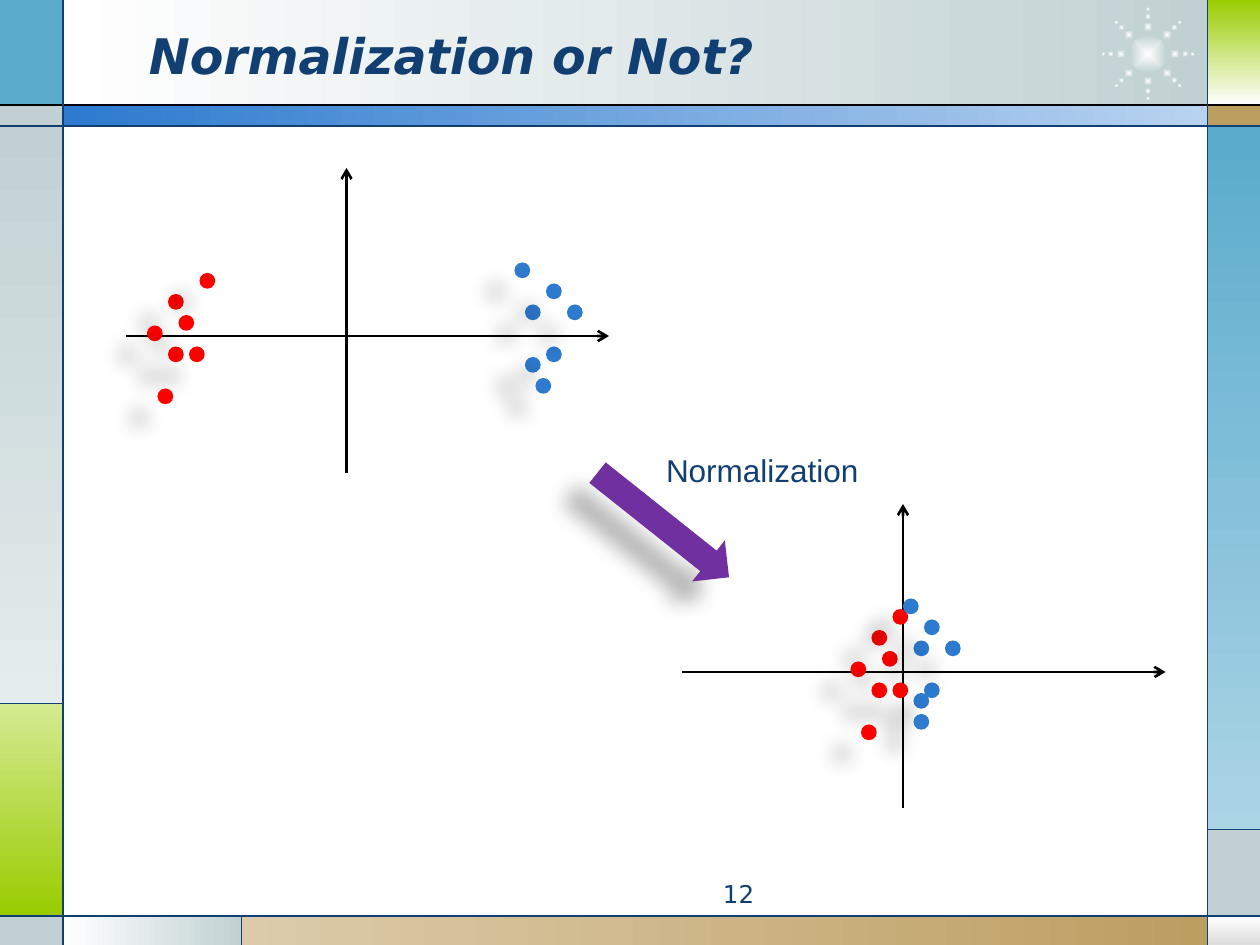
from itertools import product
from math import cos, radians, sin

from lxml.etree import SubElement
from pptx import Presentation
from pptx.dml.color import RGBColor
from pptx.enum.shapes import MSO_CONNECTOR as CONNECTOR, MSO_SHAPE as SHAPE
from pptx.enum.text import MSO_ANCHOR as ANCHOR, PP_ALIGN as ALIGN
from pptx.oxml.ns import qn
from pptx.util import Pt

NAVY, BLUE, RED, PURPLE = "113F71", "2D7ACF", "FF0000", "7030A0"
BLACK, WHITE, GRAY, SKY, TAN, GREEN = "000000", "FFFFFF", "C1D1D3", "5AABCC", "BD9E61", "99CC00"
WIDTH, HEIGHT = 720, 540
LEFT, RIGHT = 36, 690
TOP, STRIP, BOTTOM = 60, 72, 523.5
ACROSS, DOWN = 0, 270
DOT = 9

PANELS = [
    (LEFT, 0, RIGHT, TOP, (WHITE, GRAY, ACROSS)),
    (0, 0, LEFT, TOP, SKY),
    (0, TOP, LEFT, STRIP, GRAY),
    (0, STRIP, LEFT, 402, (GRAY, "E4ECED", DOWN)),
    (0, 402, LEFT, BOTTOM, ("D4EA92", GREEN, DOWN)),
    (0, BOTTOM, LEFT, HEIGHT, GRAY),
    (LEFT, BOTTOM, 138, HEIGHT, (WHITE, GRAY, ACROSS)),
    (138, BOTTOM, RIGHT, HEIGHT, ("DCCBAA", TAN, ACROSS)),
    (RIGHT, BOTTOM, WIDTH, HEIGHT, (WHITE, "DDDDDD", DOWN)),
    (RIGHT, 474, WIDTH, BOTTOM, GRAY),
    (RIGHT, STRIP, WIDTH, 474, (SKY, "ABD4E5", DOWN)),
    (RIGHT, TOP, WIDTH, STRIP, TAN),
    (RIGHT, 0, WIDTH, TOP, (GREEN, WHITE, DOWN)),
    (LEFT, TOP, RIGHT, STRIP, (BLUE, "B8D3F0", ACROSS)),
]
RULES = [
    (0, STRIP, WIDTH, STRIP), (0, BOTTOM, WIDTH, BOTTOM),
    (LEFT, 0, LEFT, HEIGHT), (RIGHT, 0, RIGHT, HEIGHT),
    (LEFT, 402, 0, 402), (138, BOTTOM, 138, HEIGHT), (RIGHT, 474, WIDTH, 474),
]
RAW_BLUE = [(294, 150), (300, 174), (312, 162), (300, 204), (312, 198), (324, 174), (306, 216)]
RAW_RED = [(96, 198), (96, 168), (114, 156), (84, 186), (108, 198), (102, 180), (90, 222)]
SCALED_RED = [(498, 390), (498, 360), (510, 348), (486, 378), (510, 390), (504, 372), (492, 414)]
SCALED_BLUE = [(516, 342), (522, 366), (528, 354), (522, 396), (528, 390), (540, 366), (522, 408)]


def color(value):
    """Turn a hex string into a colour."""
    return RGBColor.from_string(value)


class Sketch:
    """Hold the style, the current slide and the shapes being drawn into."""

    font = {"name": "DejaVu Sans", "size": Pt(14), "bold": False, "italic": False}
    shadow = {"blurRad": Pt(11.8), "dist": Pt(19.7), "dir": 141 * 60000, "algn": "ctr", "rotWithShape": 0}
    shadow_alpha = 28000

    def __init__(self, slide):
        """Start drawing on a slide."""
        self.slide = slide
        self.shapes = slide.shapes

    def group(self):
        """Draw what follows into a new group."""
        self.shapes = self.slide.shapes.add_group_shape().shapes

    def ungroup(self):
        """Draw what follows straight on the slide."""
        self.shapes = self.slide.shapes

    def shape(self, kind, left, top, width, height, fill, rotation=0):
        """Add a shape without outline, with a plain or gradient fill."""
        shape = self.shapes.add_shape(kind, Pt(left), Pt(top), Pt(width), Pt(height))
        shape.rotation = rotation
        shape.line.fill.background()
        shape.shadow.inherit = False
        if isinstance(fill, str):
            shape.fill.solid()
            shape.fill.fore_color.rgb = color(fill)
        else:
            first, last, angle = fill
            shape.fill.gradient()
            shape.fill.gradient_angle = angle
            for stop, value in zip(shape.fill.gradient_stops, (first, last)):
                stop.color.rgb = color(value)
        return shape

    def glow(self, x, y, size):
        """Add a round spot that fades from its centre."""
        shape = self.shape(SHAPE.OVAL, x - size / 2, y - size / 2, size, size, (WHITE, GRAY, ACROSS))
        gradient = shape._element.spPr.find(qn("a:gradFill"))
        gradient.remove(gradient.find(qn("a:lin")))
        fade = SubElement(gradient, qn("a:path"), path="shape")
        SubElement(fade, qn("a:fillToRect"), {side: "50000" for side in "ltrb"})

    def shadowed(self, *arguments, **options):
        """Add a shape that casts a soft shadow."""
        shape = self.shape(*arguments, **options)
        effects = shape._element.spPr.find(qn("a:effectLst"))
        values = {name: str(value) for name, value in self.shadow.items()}
        shadow = SubElement(effects, qn("a:outerShdw"), values)
        tint = SubElement(shadow, qn("a:srgbClr"), val=BLACK)
        SubElement(tint, qn("a:alpha"), val=str(self.shadow_alpha))

    def dots(self, points, fill):
        """Add one shadowed dot per point."""
        for left, top in points:
            self.shadowed(SHAPE.OVAL, left, top, DOT, DOT, fill)

    def line(self, start_x, start_y, end_x, end_y, stroke=NAVY, weight=0.75, arrow=False):
        """Add a straight line, with an arrowhead at its end if asked."""
        ends = map(Pt, (start_x, start_y, end_x, end_y))
        connector = self.shapes.add_connector(CONNECTOR.STRAIGHT, *ends)
        connector.line.color.rgb = color(stroke)
        connector.line.width = Pt(weight)
        if arrow:
            SubElement(connector.line._get_or_add_ln(), qn("a:tailEnd"), type="arrow")
        SubElement(connector._element.spPr, qn("a:effectLst"))

    def axes(self, x, y):
        """Add a pair of axes that cross at a point."""
        self.line(x - 126, y, x + 150, y, BLACK, 1.5, arrow=True)
        self.line(x, y + 78, x, y - 96, BLACK, 1.5, arrow=True)

    def text(self, content, left, top, width, height, align=ALIGN.LEFT, anchor=ANCHOR.TOP, wrap=True, **font):
        """Add a text box with one paragraph."""
        box = self.shapes.add_textbox(Pt(left), Pt(top), Pt(width), Pt(height))
        frame = box.text_frame
        frame.word_wrap = wrap
        frame.vertical_anchor = anchor
        paragraph = frame.paragraphs[0]
        paragraph.alignment = align
        run = paragraph.add_run()
        run.text = content
        for name, value in {**self.font, **font}.items():
            setattr(run.font, name, value)
        run.font.color.rgb = color(NAVY)


def draw_frame(sketch):
    """Draw the border panels, the sunburst and the ruled lines."""
    for left, top, right, bottom, fill in PANELS:
        sketch.shape(SHAPE.RECTANGLE, left, top, right - left, bottom - top, fill)
    center_x, center_y = 656, 30.8
    sketch.group()
    sketch.glow(center_x, center_y, 21.6)
    for angle, (radius, size) in product(range(0, 360, 45), [(15.5, 5.2), (21.3, 3.5), (25.5, 2.5)]):
        turn = radians(angle)
        sketch.glow(center_x + radius * cos(turn), center_y + radius * sin(turn), size)
    sketch.ungroup()
    sketch.line(0, TOP, WIDTH, TOP, BLACK)
    for rule in RULES:
        sketch.line(*rule)


def main():
    """Build the slide and save it."""
    presentation = Presentation()
    presentation.slide_width, presentation.slide_height = Pt(WIDTH), Pt(HEIGHT)
    sketch = Sketch(presentation.slides.add_slide(presentation.slide_layouts[6]))
    draw_frame(sketch)
    sketch.text("Normalization or Not?", 78, 9, 528, 45, anchor=ANCHOR.MIDDLE,
                size=Pt(28), bold=True, italic=True)
    sketch.text("12", 270, 499, 168, 19.5, align=ALIGN.RIGHT)
    sketch.axes(198, 192)
    sketch.dots(RAW_BLUE, BLUE)
    sketch.dots(RAW_RED, RED)
    sketch.group()
    sketch.axes(516, 384)
    sketch.dots(SCALED_RED, RED)
    sketch.dots(SCALED_BLUE, BLUE)
    sketch.ungroup()
    sketch.shadowed(SHAPE.RIGHT_ARROW, 331, 285, 96, 30, PURPLE, rotation=38.5)
    sketch.text("Normalization", 373.5, 254, 125.5, 29, wrap=False, name="Arial", size=Pt(18))
    presentation.save("out.pptx")


if __name__ == "__main__":
    main()
